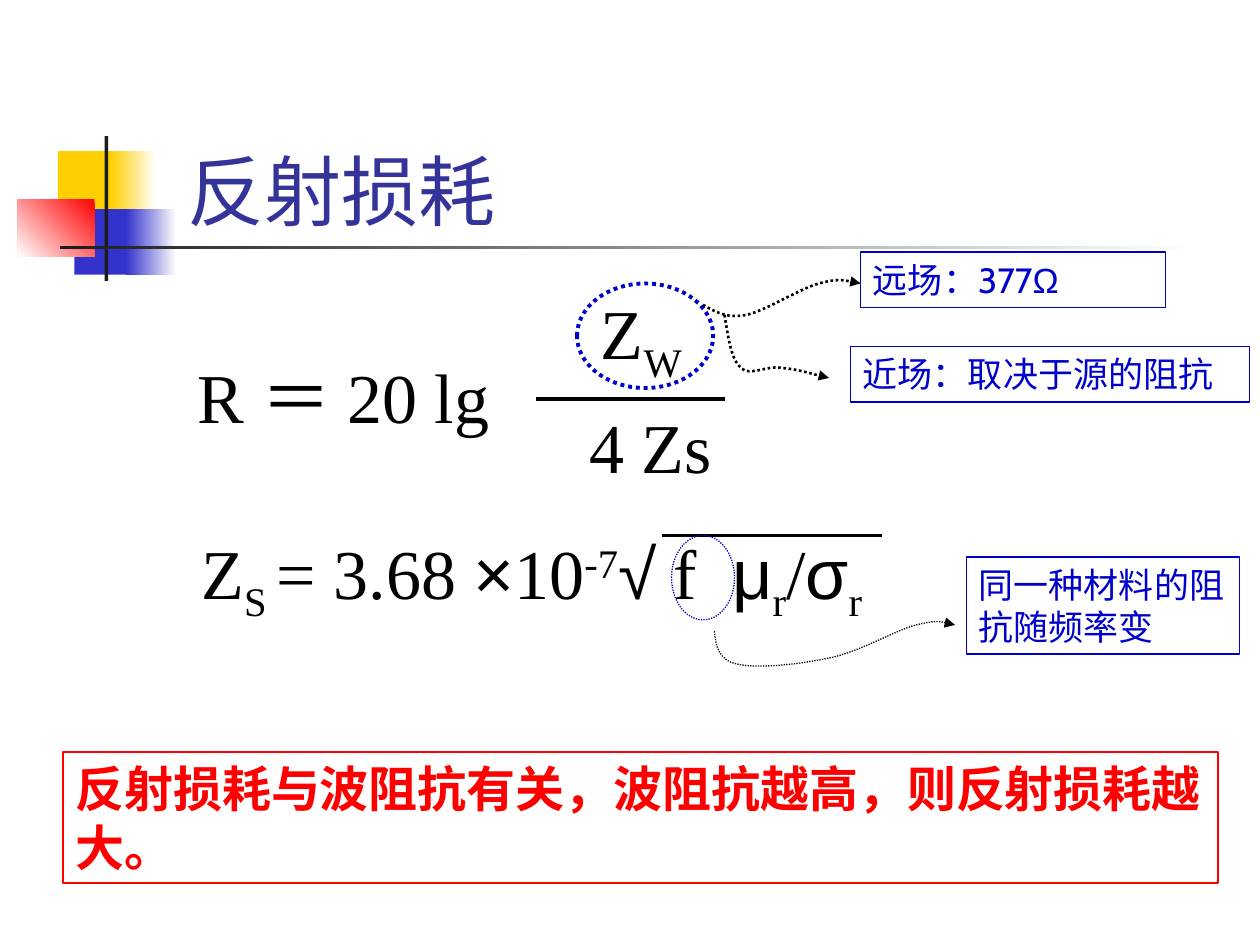
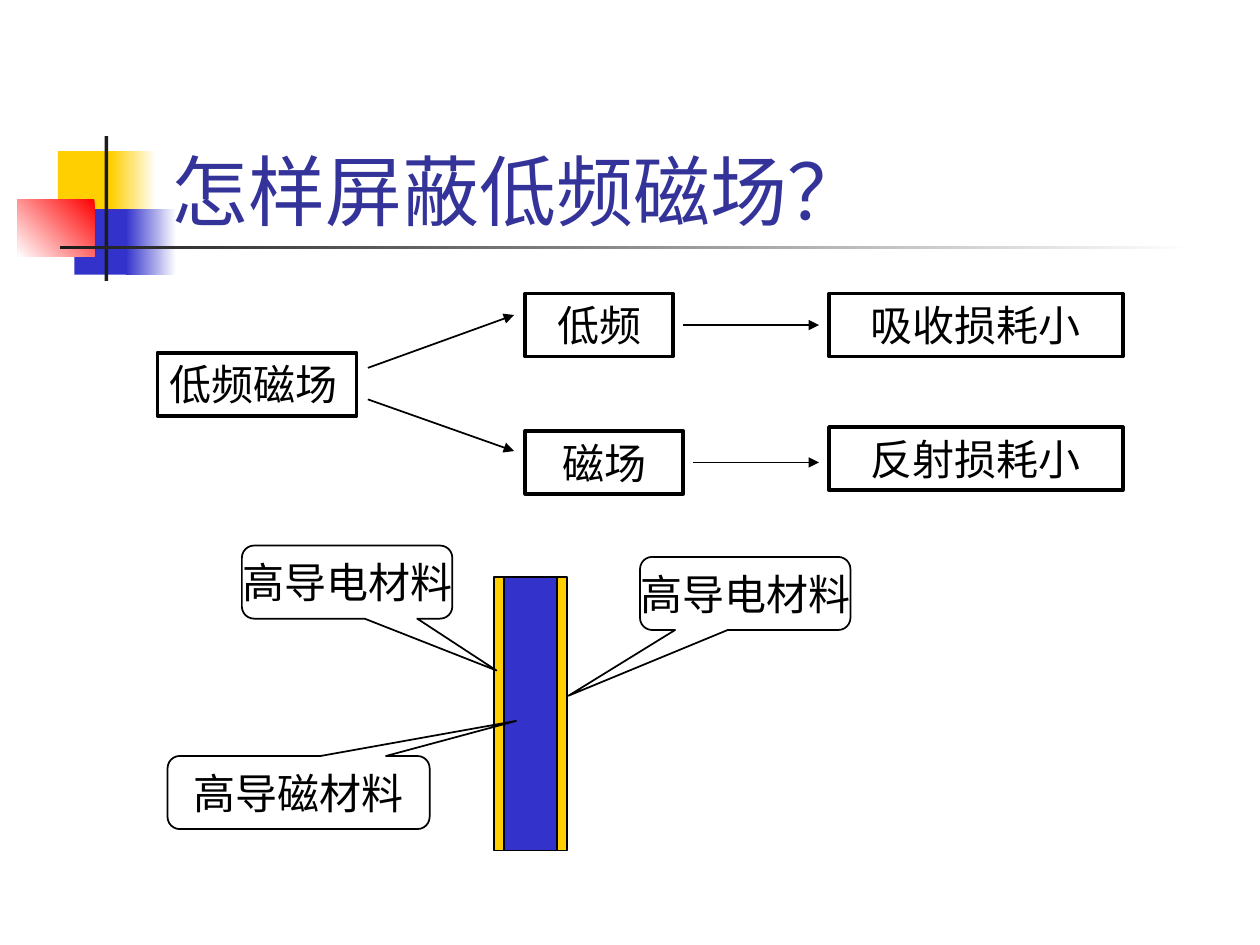
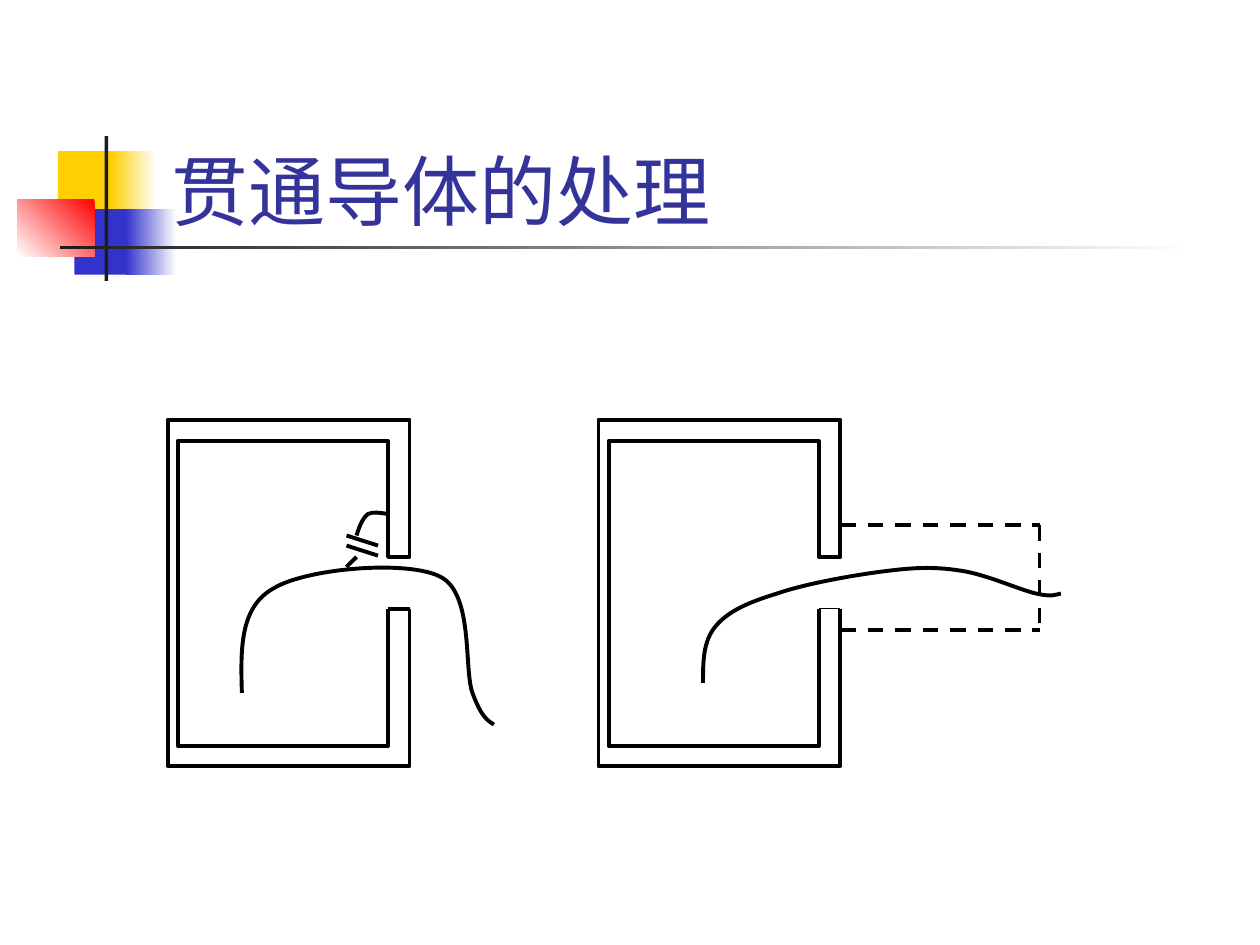
from dataclasses import dataclass
from typing import Optional

from lxml.etree import SubElement
from pptx import Presentation
from pptx.dml.color import RGBColor
from pptx.enum.dml import MSO_LINE
from pptx.enum.lang import MSO_LANGUAGE_ID
from pptx.enum.shapes import MSO_CONNECTOR, MSO_SHAPE
from pptx.enum.text import MSO_ANCHOR, MSO_AUTO_SIZE, PP_ALIGN
from pptx.oxml.ns import qn
from pptx.util import Inches, Pt


# Theme
@dataclass(frozen=True)
class Theme:
    white: str = "FFFFFF"
    black: str = "000000"
    ink: str = "1C1C1C"
    yellow: str = "FFCF01"
    blue: str = "3333CC"
    note_blue: str = "0000CC"
    red: str = "FF0000"
    title_blue: str = "333399"
    sans: str = "Cabin"
    serif: str = "Times New Roman"
    symbol: str = "Arial"
    title_size: float = 44
    formula_size: float = 40
    conclusion_size: float = 28
    label_size: float = 24
    note_size: float = 20


THEME = Theme()


# Descriptions of repeated elements
@dataclass(frozen=True)
class Area:
    left: float
    top: float
    width: float
    height: float


@dataclass(frozen=True)
class Stroke:
    color: str = THEME.black
    width: float = 2.25
    dash: Optional[MSO_LINE] = None
    arrow: bool = False


@dataclass(frozen=True)
class Band:
    area: Area
    start: str
    end: Optional[str] = None
    angle: float = 180


@dataclass(frozen=True)
class Run:
    text: str
    font: Optional[str] = None
    baseline: int = 0
    spacing: float = 0


@dataclass(frozen=True)
class Label:
    text: str
    area: Area
    align: PP_ALIGN = PP_ALIGN.CENTER


@dataclass(frozen=True)
class Callout:
    text: str
    area: Area
    tip_x: float
    tip_y: float


Point = tuple[float, float]

BANDS = (
    Band(Area(0.46, 1.2, 0.48, 0.52), THEME.yellow),
    Band(Area(0.88, 1.2, 0.36, 0.52), THEME.white, THEME.yellow),
    Band(Area(0.59, 1.66, 0.46, 0.52), THEME.blue),
    Band(Area(1, 1.66, 0.4, 0.52), THEME.white, THEME.blue),
    Band(Area(0.14, 1.58, 0.61, 0.46), THEME.red, THEME.white, 225),
    Band(Area(0.83, 1.08, 0.03, 1.15), THEME.ink),
    Band(Area(0.48, 1.95, 9, 0.03), THEME.white, THEME.ink),
)
THICK = Stroke()
THIN = Stroke(width=1)
DASHED = Stroke(dash=MSO_LINE.DASH)
NOTE_BORDER = Stroke(THEME.note_blue, 0.75)


# Drawing functions
def rgb(color: str) -> RGBColor:
    return RGBColor.from_string(color)


def apply_stroke(shape, stroke: Stroke) -> None:
    line = shape.line
    line.color.rgb = rgb(stroke.color)
    line.width = Pt(stroke.width)
    if stroke.dash is not None:
        line.dash_style = stroke.dash
    if stroke.arrow:
        SubElement(line._get_or_add_ln(), qn("a:tailEnd"), type="triangle")


def add_figure(slide, kind: MSO_SHAPE, area: Area, fill: Optional[str] = None,
               stroke: Optional[Stroke] = None):
    figure = slide.shapes.add_shape(kind, Inches(area.left), Inches(area.top),
                                    Inches(area.width), Inches(area.height))
    figure.shadow.inherit = False
    if fill:
        figure.fill.solid()
        figure.fill.fore_color.rgb = rgb(fill)
    else:
        figure.fill.background()
    if stroke:
        apply_stroke(figure, stroke)
    else:
        figure.line.fill.background()
    return figure


def write(shape, *runs: Run, size: float, font: str = THEME.serif,
          color: str = THEME.black, bold: bool = False,
          align: PP_ALIGN = PP_ALIGN.LEFT, anchor: MSO_ANCHOR = MSO_ANCHOR.TOP,
          wrap: bool = True, grow: bool = True) -> None:
    frame = shape.text_frame
    frame.word_wrap = wrap
    frame.auto_size = MSO_AUTO_SIZE.SHAPE_TO_FIT_TEXT if grow else MSO_AUTO_SIZE.NONE
    frame.vertical_anchor = anchor
    paragraph = frame.paragraphs[0]
    paragraph.alignment = align
    for part in runs:
        run = paragraph.add_run()
        run.text = part.text
        run.font.name = part.font or font
        run.font.size = Pt(size)
        run.font.bold = bold
        run.font.color.rgb = rgb(color)
        run.font.language_id = MSO_LANGUAGE_ID.SIMPLIFIED_CHINESE
        properties = run._r.get_or_add_rPr()
        if part.baseline:
            properties.set("baseline", str(part.baseline * 1000))
        if part.spacing:
            properties.set("spc", str(round(part.spacing * 100)))


def add_text(slide, area: Area, *runs: Run, **text_format) -> None:
    box = slide.shapes.add_textbox(Inches(area.left), Inches(area.top),
                                   Inches(area.width), Inches(area.height))
    write(box, *runs, **text_format)


def add_line(slide, start: Point, end: Point, stroke: Stroke = THICK) -> None:
    line = slide.shapes.add_connector(
        MSO_CONNECTOR.STRAIGHT, *(Inches(value) for value in (*start, *end)))
    apply_stroke(line, stroke)
    SubElement(line._element.spPr, qn("a:effectLst"))


def add_outline(slide, points: list[Point], stroke: Stroke = THICK):
    (first, *rest) = [(Inches(x), Inches(y)) for x, y in points]
    builder = slide.shapes.build_freeform(*first)
    builder.add_line_segments(rest, close=False)
    outline = builder.convert_to_shape()
    outline.shadow.inherit = False
    outline.fill.background()
    apply_stroke(outline, stroke)
    return outline


def add_curve(slide, points: list[Point], stroke: Stroke = THICK) -> None:
    """Draw a start point followed by triples of cubic control points."""
    curve = add_outline(slide, points, stroke)
    segments = list(curve._element.iter(qn("a:lnTo")))
    track = segments[0].getparent()
    for index in range(0, len(segments), 3):
        bezier = SubElement(track, qn("a:cubicBezTo"))
        for segment in segments[index:index + 3]:
            bezier.append(segment[0])
            track.remove(segment)


def add_titled_slide(deck, title: str, left: float = 1.26):
    slide = deck.slides.add_slide(deck.slide_layouts[6])
    for band in BANDS:
        figure = add_figure(slide, MSO_SHAPE.RECTANGLE, band.area, band.start)
        if band.end:
            figure.fill.gradient()
            figure.fill.gradient_angle = band.angle
            for stop, color in zip(figure.fill.gradient_stops, (band.start, band.end)):
                stop.color.rgb = rgb(color)
    add_text(slide, Area(left, 0.67, 8.52, 1.25), Run(title), size=THEME.title_size,
             font=THEME.sans, color=THEME.title_blue, anchor=MSO_ANCHOR.BOTTOM, grow=False)
    return slide


# Slide 1: reflection loss
def build_reflection_loss(deck) -> None:
    slide = add_titled_slide(deck, "反射损耗", left=1.39)
    symbol = THEME.symbol
    formulas = (
        (Area(1.47, 2.76, 3.03, 0.77), [Run("R ＝ 20 lg")]),
        (Area(4.67, 2.25, 1.25, 0.86), [Run("Z"), Run("W", baseline=-25)]),
        (Area(4.58, 3.15, 1.67, 0.77), [Run("4 Zs")]),
        (Area(1.5, 4.15, 6, 0.86), [
            Run("Z"), Run("S ", baseline=-25), Run("= 3.68 "), Run("×", symbol),
            Run("10"), Run("-7", baseline=30), Run("√", symbol), Run(" f"),
            Run(" ", spacing=10), Run("μ", symbol), Run("r", baseline=-25),
            Run("/"), Run("σ", symbol), Run("r", baseline=-25)]),
    )
    for area, runs in formulas:
        add_text(slide, area, *runs, size=THEME.formula_size)

    # Fraction bar and root bar
    add_line(slide, (4.25, 3.17), (5.75, 3.17))
    add_line(slide, (5.25, 4.25), (7, 4.25))

    # Circled terms and their pointers
    for area, width in ((Area(4.58, 2.25, 1.08, 0.83), 2.25),
                        (Area(5.33, 4.25, 0.5, 0.67), 0.75)):
        add_figure(slide, MSO_SHAPE.OVAL, area,
                   stroke=Stroke(THEME.note_blue, width, MSO_LINE.ROUND_DOT))
    pointers = (
        (1.5, [(5.58, 2.42), (5.67, 2.47), (5.76, 2.53), (5.92, 2.5), (6.07, 2.47),
               (6.35, 2.29), (6.5, 2.25), (6.65, 2.21), (6.74, 2.23), (6.83, 2.25)]),
        (1.5, [(5.75, 2.5), (5.78, 2.67), (5.8, 2.85), (5.88, 2.92), (5.95, 2.99),
               (6.08, 2.9), (6.2, 2.92), (6.32, 2.93), (6.45, 2.97), (6.58, 3)]),
        (0.75, [(5.67, 5.01), (5.68, 5.12), (5.7, 5.24), (5.85, 5.27), (6.01, 5.31),
                (6.36, 5.27), (6.59, 5.22), (6.83, 5.17), (7.11, 5), (7.27, 4.96),
                (7.44, 4.92), (7.51, 4.94), (7.58, 4.96)]),
    )
    for width, points in pointers:
        add_curve(slide, points, Stroke(width=width, dash=MSO_LINE.ROUND_DOT, arrow=True))

    # Notes
    notes = (
        (Area(6.83, 2, 2.42, 0.44), [Run("远场：377"), Run("Ω", symbol)]),
        (Area(6.75, 2.75, 3.17, 0.44), [Run("近场：取决于源的阻抗")]),
        (Area(7.67, 4.42, 2.17, 0.77), [Run("同一种材料的阻抗随频率变")]),
    )
    for area, runs in notes:
        note = add_figure(slide, MSO_SHAPE.RECTANGLE, area, stroke=NOTE_BORDER)
        write(note, *runs, size=THEME.note_size, font=THEME.sans, color=THEME.note_blue)

    # Conclusion
    conclusion = add_figure(slide, MSO_SHAPE.RECTANGLE, Area(0.5, 5.97, 9.17, 1.04),
                            THEME.white, Stroke(THEME.red, 1))
    write(conclusion, Run("反射损耗与波阻抗有关，波阻抗越高，则反射损耗越大。"),
          size=THEME.conclusion_size, color=THEME.red, bold=True)


# Slide 2: shielding low-frequency magnetic fields
def build_field_shielding(deck) -> None:
    slide = add_titled_slide(deck, "怎样屏蔽低频磁场？")
    labels = (
        Label("低频磁场", Area(1.25, 2.8, 1.58, 0.5), PP_ALIGN.LEFT),
        Label("低频", Area(4.17, 2.33, 1.17, 0.5)),
        Label("磁场", Area(4.17, 3.42, 1.25, 0.5)),
        Label("吸收损耗小", Area(6.58, 2.33, 2.33, 0.5)),
        Label("反射损耗小", Area(6.58, 3.39, 2.33, 0.5)),
    )
    for label in labels:
        box = add_figure(slide, MSO_SHAPE.RECTANGLE, label.area, stroke=THICK)
        write(box, Run(label.text), size=THEME.label_size, align=label.align)
    for start, end in (((2.92, 2.92), (4.08, 2.5)), ((2.92, 3.17), (4.08, 3.58)),
                       ((5.42, 2.58), (6.5, 2.58)), ((5.5, 3.67), (6.5, 3.67))):
        add_line(slide, start, end, Stroke(width=1, arrow=True))

    # Layered shield
    for left, width, color in ((4, 0.42, THEME.blue), (3.92, 0.08, THEME.yellow),
                               (4.42, 0.08, THEME.yellow)):
        add_figure(slide, MSO_SHAPE.RECTANGLE, Area(left, 4.58, width, 2.17), color, THIN)

    # Material callouts
    callouts = (
        Callout("高导电材料", Area(1.92, 4.33, 1.67, 0.58), 0.71, 1.21),
        Callout("高导磁材料", Area(1.33, 6, 2.08, 0.58), 0.83, -0.98),
        Callout("高导电材料", Area(5.08, 4.42, 1.67, 0.58), -0.84, 1.4),
    )
    for callout in callouts:
        bubble = add_figure(slide, MSO_SHAPE.ROUNDED_RECTANGULAR_CALLOUT,
                            callout.area, stroke=THIN)
        bubble.adjustments[0] = callout.tip_x
        bubble.adjustments[1] = callout.tip_y
        write(bubble, Run(callout.text), size=THEME.label_size, align=PP_ALIGN.CENTER,
              anchor=MSO_ANCHOR.MIDDLE, wrap=False, grow=False)


# Slide 3: conductors passing through an enclosure
def add_enclosure(slide, left: float, edge: Stroke) -> None:
    right, inner_left, inner_right = left + 1.92, left + 0.08, left + 1.75
    add_outline(slide, [
        (right, 4.83), (right, 6.08), (left, 6.08), (left, 3.33), (right, 3.33),
        (right, 4.42), (inner_right, 4.42), (inner_right, 3.5), (inner_left, 3.5),
        (inner_left, 5.92), (inner_right, 5.92), (inner_right, 4.83)])
    add_line(slide, (inner_right, 4.83), (right, 4.83), edge)


def build_through_conductors(deck) -> None:
    slide = add_titled_slide(deck, "贯通导体的处理")
    add_enclosure(slide, 1.33, THICK)
    add_enclosure(slide, 4.75, THIN)

    # Conductor bypassed to the wall by a capacitor
    add_curve(slide, [(1.92, 5.5), (1.91, 5.16), (1.9, 4.82), (2.17, 4.67), (2.43, 4.51),
                      (3.24, 4.44), (3.5, 4.58), (3.76, 4.72), (3.68, 5.31), (3.75, 5.5),
                      (3.82, 5.69), (3.87, 5.72), (3.92, 5.75)])
    add_curve(slide, [(3.08, 4.08), (3.02, 4.07), (2.96, 4.06), (2.92, 4.08),
                      (2.88, 4.11), (2.85, 4.18), (2.83, 4.25)])
    for plate_top in (4.25, 4.33):
        add_line(slide, (2.75, plate_top), (3, plate_top + 0.08))
    add_curve(slide, [(2.83, 4.42), (2.8, 4.45), (2.76, 4.49), (2.75, 4.5)])

    # Conductor inside a shielded extension
    for start, end in (((6.67, 4.17), (8.25, 4.17)), ((6.67, 5), (8.25, 5)),
                       ((8.25, 4.17), (8.25, 5))):
        add_line(slide, start, end, DASHED)
    add_curve(slide, [(5.58, 5.42), (5.58, 5.25), (5.58, 5.09), (5.68, 4.97), (5.78, 4.85),
                      (5.94, 4.78), (6.17, 4.71), (6.4, 4.63), (6.8, 4.56), (7.05, 4.53),
                      (7.29, 4.5), (7.44, 4.5), (7.63, 4.53), (7.83, 4.56), (8.09, 4.68),
                      (8.22, 4.71), (8.35, 4.74), (8.38, 4.72), (8.42, 4.71)])


def main() -> None:
    deck = Presentation()
    deck.slide_width, deck.slide_height = Inches(10), Inches(7.5)
    build_reflection_loss(deck)
    build_field_shielding(deck)
    build_through_conductors(deck)
    deck.save("out.pptx")


if __name__ == "__main__":
    main()
